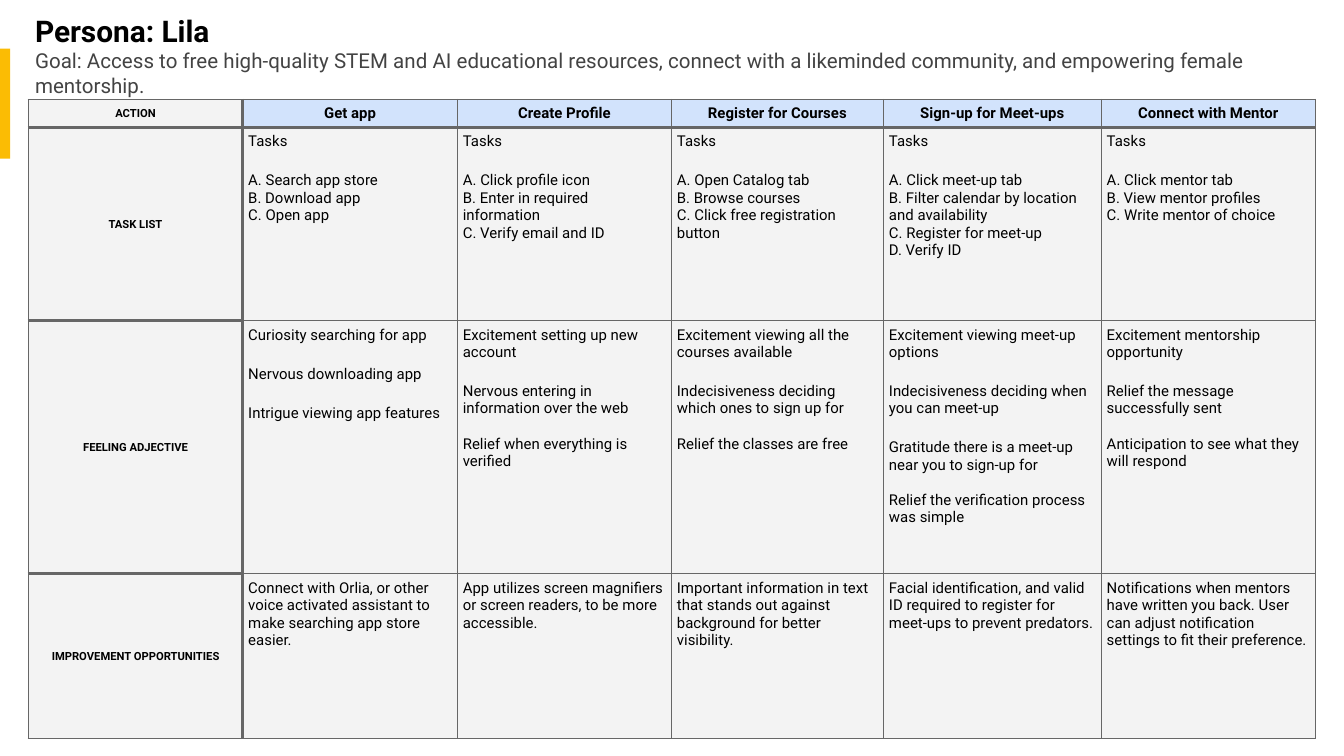
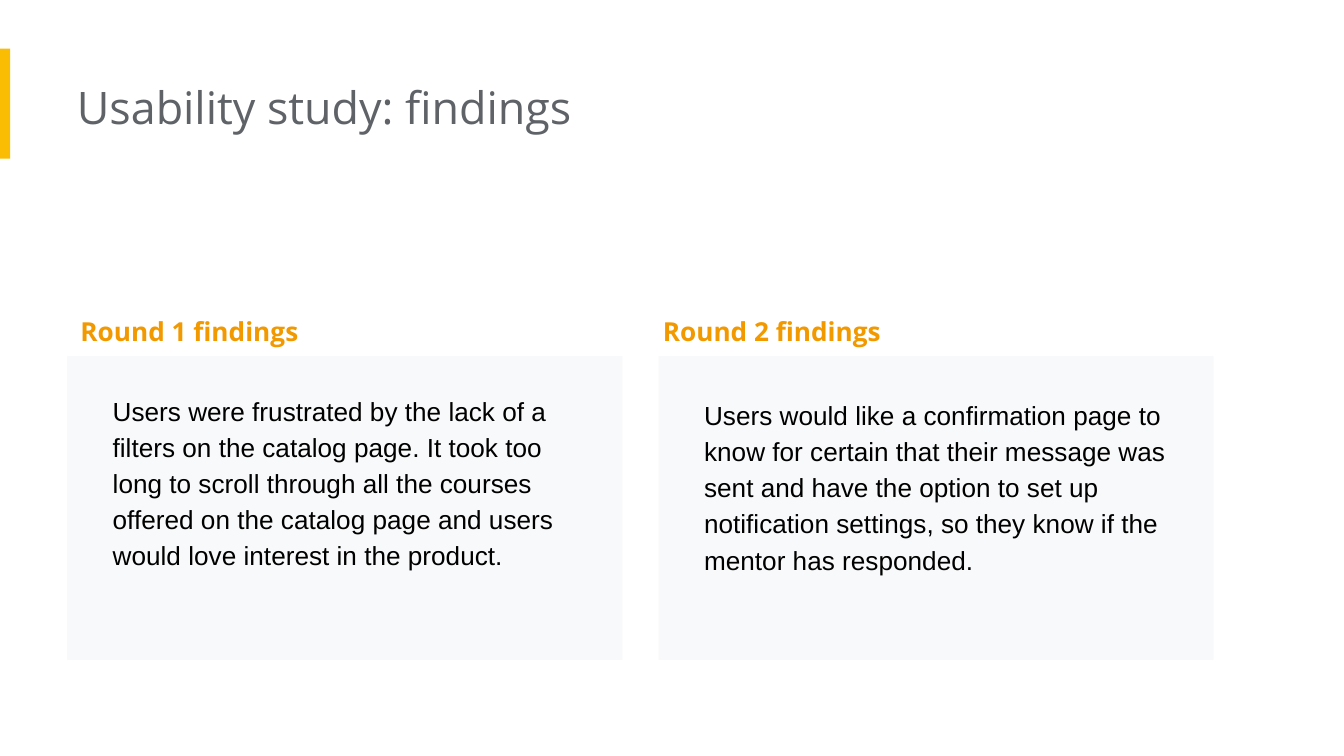
import dataclasses

import pptx
import pptx.dml.color
import pptx.enum.shapes
import pptx.enum.text
import pptx.oxml
import pptx.oxml.ns
import pptx.util

Pt = pptx.util.Pt
Align = pptx.enum.text.PP_ALIGN
Anchor = pptx.enum.text.MSO_ANCHOR


def rgb(value):
    return pptx.dml.color.RGBColor.from_string(value)


@dataclasses.dataclass(frozen=True)
class TextStyle:
    font: str
    size: float
    color: str
    bold: bool = False
    spacing: float = 1.0


@dataclasses.dataclass(frozen=True)
class Theme:
    # Colours
    accent: str = "FBBC04"
    card: str = "F8F9FA"
    cell: str = "F3F3F3"
    header: str = "D2E3FC"
    grid: str = "666666"
    # Type
    persona: TextStyle = TextStyle("Roboto", 16, "000000", True)
    goal: TextStyle = TextStyle("Roboto", 11, "434343")
    row_label: TextStyle = TextStyle("Roboto", 6, "000000", True)
    column_label: TextStyle = TextStyle("Roboto", 8, "000000", True)
    cell_text: TextStyle = TextStyle("Roboto", 8, "000000")
    title: TextStyle = TextStyle("Open Sans", 24, "5F6368")
    heading: TextStyle = TextStyle("Open Sans", 14, "F29900", True, 1.15)
    body: TextStyle = TextStyle("Arial", 14, "000000", False, 1.15)
    # Lines and gaps
    thin: float = 0.6
    thick: float = 1.8
    cell_inset: float = 2.9
    wide_gap: float = 11.5
    narrow_gap: float = 9.4


class Builder:
    """Holds the theme, the deck and the current page."""

    def __init__(self, theme):
        self.theme = theme
        self.deck = pptx.Presentation()
        self.deck.slide_width = Pt(720)
        self.deck.slide_height = Pt(405)
        self.page = None

    def new_page(self):
        self.page = self.deck.slides.add_slide(self.deck.slide_layouts[6])
        self.rectangle(0, 26, 5.5, 59, self.theme.accent)

    def rectangle(self, left, top, width, height, color):
        shape = self.page.shapes.add_shape(
            pptx.enum.shapes.MSO_SHAPE.RECTANGLE,
            Pt(left), Pt(top), Pt(width), Pt(height))
        shape.shadow.inherit = False
        shape.fill.solid()
        shape.fill.fore_color.rgb = rgb(color)
        shape.line.fill.background()

    def fill_frame(self, frame, lines, align=Align.LEFT):
        """Fill a frame with (text, style, gap before) lines."""
        for index, (text, style, gap) in enumerate(lines):
            para = frame.add_paragraph() if index else frame.paragraphs[0]
            para.text = text
            para.alignment = align
            para.line_spacing = style.spacing
            para.space_before = Pt(gap)
            para.font.name = style.font
            para.font.size = Pt(style.size)
            para.font.bold = style.bold
            para.font.color.rgb = rgb(style.color)

    def text(self, left, top, width, height, lines,
             insets=(7.2, 7.2, 7.2, 7.2), anchor=Anchor.TOP):
        box = self.page.shapes.add_textbox(
            Pt(left), Pt(top), Pt(width), Pt(height))
        frame = box.text_frame
        frame.word_wrap = True
        frame.vertical_anchor = anchor
        (frame.margin_left, frame.margin_top,
         frame.margin_right, frame.margin_bottom) = map(Pt, insets)
        self.fill_frame(frame, lines)

    def borders(self, cell, widths):
        """Draw the cell's left, right, top and bottom lines."""
        properties = cell._tc.get_or_add_tcPr()
        for index, (side, width) in enumerate(zip("LRTB", widths)):
            line = pptx.oxml.parse_xml(
                f'<a:ln{side} {pptx.oxml.ns.nsdecls("a")} w="{Pt(width)}">'
                f'<a:solidFill><a:srgbClr val="{self.theme.grid}"/>'
                f'</a:solidFill></a:ln{side}>')
            properties.insert(index, line)

    def journey_table(self, left, top, widths, heights, rows):
        theme = self.theme
        table = self.page.shapes.add_table(
            len(heights), len(widths), Pt(left), Pt(top),
            Pt(sum(widths)), Pt(sum(heights))).table
        table.first_row = table.horz_banding = False
        for column, width in zip(table.columns, widths):
            column.width = Pt(width)
        for table_row, height in zip(table.rows, heights):
            table_row.height = Pt(height)

        last = len(rows) - 1
        for r, row in enumerate(rows):
            for c, content in enumerate(row):
                cell = table.cell(r, c)
                is_label = r == 0 or c == 0
                cell.margin_left = cell.margin_right = Pt(theme.cell_inset)
                cell.margin_top = cell.margin_bottom = Pt(theme.cell_inset)
                cell.vertical_anchor = Anchor.MIDDLE if is_label else Anchor.TOP
                style = (theme.row_label if c == 0 else
                         theme.column_label if r == 0 else theme.cell_text)
                self.fill_frame(cell.text_frame,
                                [(text, style, gap) for text, gap in content],
                                Align.CENTER if is_label else Align.LEFT)
                cell.fill.solid()
                cell.fill.fore_color.rgb = rgb(
                    theme.header if r == 0 and c > 0 else theme.cell)
                heavy = (c == 1, c == 0,
                         r == 1 or (c == 0 and r > 0),
                         r == 0 or (c == 0 and r < last))
                self.borders(cell, [theme.thick if side else theme.thin
                                    for side in heavy])


THEME = Theme()


# Cell contents: lists of (text, gap before)
def single(text):
    return [(text, 0)]


def tasks(first, *others):
    return [("Tasks", 0), (first, THEME.wide_gap)] + [(step, 0) for step in others]


def feelings(first, *others, last_gap=THEME.narrow_gap):
    gaps = [THEME.wide_gap] * (len(others) - 1) + [last_gap]
    return [(first, 0)] + list(zip(others, gaps))


JOURNEY = [
    [single(label) for label in (
        "ACTION", "Get app", "Create Profile", "Register for Courses",
        "Sign-up for Meet-ups", "Connect with Mentor")],
    [
        single("TASK LIST"),
        tasks("A. Search app store", "B. Download app", "C. Open app"),
        tasks("A. Click profile icon", "B. Enter in required information",
              "C. Verify email and ID"),
        tasks("A. Open Catalog tab", "B. Browse courses",
              "C. Click free registration button"),
        tasks("A. Click meet-up tab",
              "B. Filter calendar by location and availability",
              "C. Register for meet-up", "D. Verify ID"),
        tasks("A. Click mentor tab", "B. View mentor profiles",
              "C. Write mentor of choice"),
    ],
    [
        single("FEELING ADJECTIVE"),
        feelings("Curiosity searching for app", "Nervous downloading app",
                 "Intrigue viewing app features", last_gap=THEME.wide_gap),
        feelings("Excitement setting up new account",
                 "Nervous entering in information over the web",
                 "Relief when everything is verified"),
        feelings("Excitement viewing all the courses available",
                 "Indecisiveness deciding which ones to sign up for",
                 "Relief the classes are free"),
        feelings("Excitement viewing meet-up options",
                 "Indecisiveness deciding when you can meet-up",
                 "Gratitude there is a meet-up near you to sign-up for",
                 "Relief the verification process was simple"),
        feelings("Excitement mentorship opportunity",
                 "Relief the message successfully sent",
                 "Anticipation to see what they will respond"),
    ],
    [single(text) for text in (
        "IMPROVEMENT OPPORTUNITIES",
        "Connect with Orlia, or other voice activated assistant to make "
        "searching app store easier.",
        "App utilizes screen magnifiers or screen readers, to be more accessible.",
        "Important information in text that stands out against background "
        "for better visibility.",
        "Facial identification, and valid ID required to register for "
        "meet-ups to prevent predators.",
        "Notifications when mentors have written you back. User can adjust "
        "notification settings to fit their preference.")],
]

# Findings: heading left, card left, body top, heading, body
FINDINGS = [
    (36, 36, 202.3, "Round 1 findings",
     "Users were frustrated by the lack of a filters on the catalog page. "
     "It took too long to scroll through all the courses offered on the "
     "catalog page and users would love interest in the product."),
    (348, 352.8, 204.5, "Round 2 findings",
     "Users would like a confirmation page to know for certain that their "
     "message was sent and have the option to set up notification settings, "
     "so they know if the mentor has responded."),
]


def persona_page(builder):
    builder.new_page()
    builder.journey_table(
        15.1, 53.2, [115, 115, 114.7, 113.6, 116.7, 114.7],
        [15.2, 103.5, 135.6, 88.3], JOURNEY)
    builder.text(11.7, 7, 693, 45, [
        ("Persona: Lila", THEME.persona, 0),
        ("Goal: Access to free high-quality STEM and AI educational resources, "
         "connect with a likeminded community, and empowering female mentorship.",
         THEME.goal, 0),
    ], insets=(7.2, 0, 7.2, 0), anchor=Anchor.MIDDLE)


def findings_page(builder):
    builder.new_page()
    builder.text(41.2, 35.3, 484.6, 44, [("Usability study: findings", THEME.title, 0)],
                 insets=(0, 7.2, 7.2, 7.2))
    for heading_left, card_left, body_top, heading, body in FINDINGS:
        builder.rectangle(card_left, 190.8, 297.4, 162.7, THEME.card)
        builder.text(heading_left, 159.1, 262.8, 31.7, [(heading, THEME.heading, 0)])
        builder.text(card_left + 17.3, body_top, 262.8, 112.3, [(body, THEME.body, 0)])


def main():
    builder = Builder(THEME)
    persona_page(builder)
    findings_page(builder)
    builder.deck.save("out.pptx")


if __name__ == "__main__":
    main()
